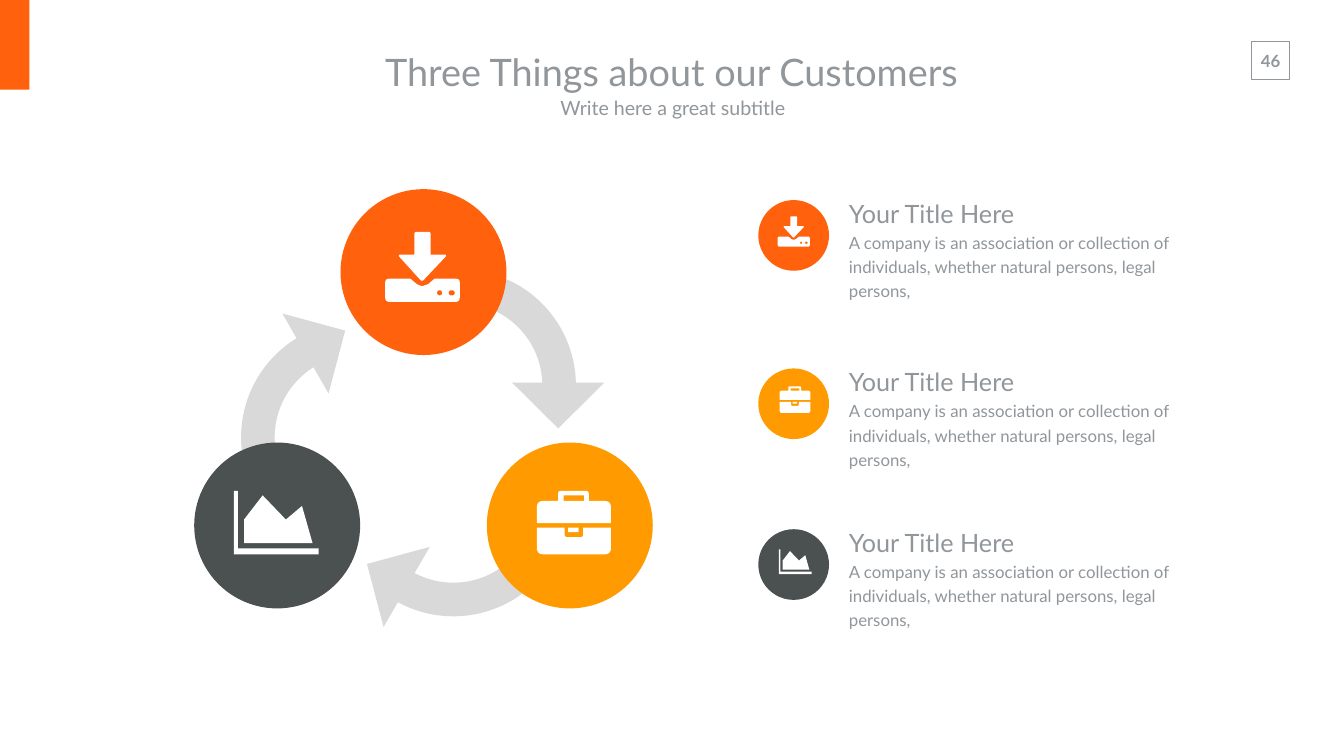
from dataclasses import dataclass
from math import cos, hypot, radians, sin

from pptx import Presentation
from pptx.dml.color import RGBColor
from pptx.enum.shapes import MSO_SHAPE
from pptx.enum.text import MSO_ANCHOR, MSO_AUTO_SIZE, PP_ALIGN
from pptx.util import Pt

ORANGE = RGBColor(0xFF, 0x61, 0x0C)
AMBER = RGBColor(0xFF, 0x9B, 0x00)
SLATE = RGBColor(0x4B, 0x50, 0x50)
GREY = RGBColor(0x91, 0x96, 0x9B)
LIGHT_GREY = RGBColor(0xD9, 0xD9, 0xD9)
WHITE = RGBColor(0xFF, 0xFF, 0xFF)

FONT = "Lato"
CYCLE_CENTRE = (604.8, 630)
CYCLE_RADIUS = 241.3
STEP_DIAMETER = 237
BULLET_DIAMETER = 101
BULLET_LEFT = 1083
PRECISION = 100
LARGE_ICON = 0.72

DOWNLOAD = [
    [(58, 0, 4), (90, 0, 4), (90, 45), (124, 45, 8), (73, 99, 5), (24, 45, 8), (58, 45)],
    [(0, 93, 8), (50, 93), (63, 104), (73, 108), (85, 104), (98, 93),
     (148, 93, 8), (148, 139, 9), (0, 139, 9)],
    [(103, 116, 5), (113, 116, 5), (113, 126, 5), (103, 126, 5)],
    [(126, 116, 5), (138, 116, 5), (138, 126, 5), (126, 126, 5)],
]
BRIEFCASE = [
    [(0, 64), (0, 20, 13), (42, 20), (42, 0, 6), (103, 0, 6), (103, 20),
     (147, 20, 13), (147, 64)],
    [(53, 9), (94, 9), (94, 20), (53, 20)],
    [(0, 73), (55, 73), (55, 92, 6), (92, 92, 6), (92, 73), (147, 73),
     (147, 126, 13), (0, 126, 13)],
    [(62, 73), (83, 73), (83, 82), (62, 82)],
]
AREA_CHART = [
    [(0, 0), (8, 0), (8, 114), (168, 114), (168, 126), (0, 126)],
    [(20, 104), (20, 57), (57, 9), (103, 57), (135, 30), (156, 104)],
]


@dataclass
class Step:
    """One stage of the cycle and its entry in the list."""
    colour: RGBColor
    icon: list
    icon_centre: tuple
    bullet_top: float
    bullet_icon_centre: tuple
    bullet_icon_scale: float


STEPS = [
    Step(ORANGE, DOWNLOAD, (603.4, 381.2), 285.8, (1133.6, 330.8), 0.31),
    Step(AMBER, BRIEFCASE, (819.7, 746.6), 526.3, (1135.4, 571), 0.3),
    Step(SLATE, AREA_CHART, (394.6, 746.6), 756, (1135.8, 802.4), 0.28),
]


def turn(point, angle):
    """Rotate a point clockwise about the middle of the cycle."""
    x, y = point[0] - CYCLE_CENTRE[0], point[1] - CYCLE_CENTRE[1]
    c, s = cos(radians(angle)), sin(radians(angle))
    return CYCLE_CENTRE[0] + x * c - y * s, CYCLE_CENTRE[1] + x * s + y * c


def arc(centre, radius, start, end, steps=40):
    """Return points along a circular arc."""
    angles = [radians(start + (end - start) * i / steps) for i in range(steps + 1)]
    return [(centre[0] + radius * cos(a), centre[1] + radius * sin(a)) for a in angles]


def rounded(corners, steps=6):
    """Return the outline with each corner that has a radius rounded off."""
    points = []
    for index, (x, y, *radius) in enumerate(corners):
        if not radius:
            points.append((x, y))
            continue
        ends = []
        for neighbour in (corners[index - 1], corners[(index + 1) % len(corners)]):
            dx, dy = neighbour[0] - x, neighbour[1] - y
            ratio = radius[0] / hypot(dx, dy)
            ends.append((x + dx * ratio, y + dy * ratio))
        (ax, ay), (bx, by) = ends
        for i in range(steps + 1):
            t = i / steps
            a, m, b = (1 - t) ** 2, 2 * t * (1 - t), t * t
            points.append((a * ax + m * x + b * bx, a * ay + m * y + b * by))
    return points


def paint(shape, colour):
    """Give a shape a plain fill without line or shadow."""
    shape.shadow.inherit = False
    shape.fill.solid()
    shape.fill.fore_color.rgb = colour
    shape.line.fill.background()


def add_outline(slide, contours, colour, scale=1):
    """Draw closed contours as one filled freeform."""
    contours = [[(x * PRECISION, y * PRECISION) for x, y in c] for c in contours]
    builder = slide.shapes.build_freeform(*contours[0][0], scale=Pt(scale) / PRECISION)
    builder.add_line_segments(contours[0][1:], close=True)
    for contour in contours[1:]:
        builder.move_to(*contour[0])
        builder.add_line_segments(contour[1:], close=True)
    outline = builder.convert_to_shape()
    paint(outline, colour)
    return outline


def add_icon(slide, icon, centre, scale):
    """Draw a white icon around a centre point."""
    symbol = add_outline(slide, [rounded(c) for c in icon], WHITE, scale)
    symbol.left = Pt(centre[0]) - symbol.width // 2
    symbol.top = Pt(centre[1]) - symbol.height // 2


def add_block(slide, kind, left, top, width, height, colour):
    """Draw a plain preset shape."""
    block = slide.shapes.add_shape(kind, Pt(left), Pt(top), Pt(width), Pt(height))
    paint(block, colour)
    return block


def add_cycle_arrow(slide, angle):
    """Draw one curved arrow of the cycle, turned by an angle."""
    centre = (656.6, 550.8)
    neck, tip, middle = 546.5, 612, 797.3
    points = arc(centre, 166, -90, -1.5)
    points += [(middle + 66, neck), (middle, tip), (middle - 66, neck)]
    points += arc(centre, 118, -2, -90)
    add_outline(slide, [[turn(p, angle) for p in points]], LIGHT_GREY)


def write(box, place, lines, margins, align=PP_ALIGN.LEFT, anchor=MSO_ANCHOR.TOP,
          spacing=1.0, bold=False, wrap=True):
    """Place a text box and fill it with (text, size) lines."""
    box.left, box.top, box.width, box.height = (Pt(length) for length in place)
    frame = box.text_frame
    frame.text = "\n".join(text for text, _ in lines)
    frame.word_wrap = wrap
    frame.auto_size = MSO_AUTO_SIZE.SHAPE_TO_FIT_TEXT
    frame.vertical_anchor = anchor
    frame.margin_left = frame.margin_right = Pt(margins[0])
    frame.margin_top = frame.margin_bottom = Pt(margins[1])
    for paragraph, (_, size) in zip(frame.paragraphs, lines):
        paragraph.alignment = align
        paragraph.line_spacing = spacing
        paragraph.space_before = Pt(0)
        font = paragraph.runs[0].font
        font.name, font.size, font.bold = FONT, Pt(size), bold
        font.color.rgb = GREY


def add_text(slide, place, lines, margins, **style):
    """Add a new text box."""
    box = slide.shapes.add_textbox(*(Pt(length) for length in place))
    write(box, place, lines, margins, **style)


def add_header(slide):
    """Add the corner bar, page number, title and subtitle."""
    add_block(slide, MSO_SHAPE.RECTANGLE, 0, 0, 42, 128, ORANGE)
    frame = add_block(slide, MSO_SHAPE.RECTANGLE, 1787.8, 59, 54, 54, WHITE)
    frame.fill.background()
    frame.line.color.rgb = GREY
    frame.line.width = Pt(1)
    add_text(slide, (1785.6, 64.8, 58.3, 43.9), [("46", 24)], (14.4, 7.2),
             align=PP_ALIGN.CENTER, bold=True, wrap=False)
    heading = {"margins": (19.4, 9.4), "align": PP_ALIGN.CENTER,
               "anchor": MSO_ANCHOR.MIDDLE}
    write(slide.shapes.title, (414.7, 59.8, 1088.6, 85),
          [("Three Things about our Customers", 54)], **heading)
    add_text(slide, (589, 126.7, 743.8, 53.3),
             [("Write here a great subtitle", 28)], **heading)


def add_step(slide, step, angle):
    """Add the large circle of a step to the cycle."""
    x, y = turn((CYCLE_CENTRE[0], CYCLE_CENTRE[1] - CYCLE_RADIUS), angle)
    half = STEP_DIAMETER / 2
    add_block(slide, MSO_SHAPE.OVAL, x - half, y - half,
              STEP_DIAMETER, STEP_DIAMETER, step.colour)
    add_icon(slide, step.icon, step.icon_centre, LARGE_ICON)


def add_entry(slide, step):
    """Add the small circle and the description of a step."""
    add_block(slide, MSO_SHAPE.OVAL, BULLET_LEFT, step.bullet_top,
              BULLET_DIAMETER, BULLET_DIAMETER, step.colour)
    add_icon(slide, step.icon, step.bullet_icon_centre, step.bullet_icon_scale)
    description = ("A company is an association or collection of individuals, "
                   "whether natural persons, legal persons,")
    add_text(slide, (1198, step.bullet_top - 18.2, 556, 135.4),
             [("Your Title Here", 36), (description, 24)], (14.4, 7.2), spacing=1.2)


def main():
    """Build the slide and save it."""
    presentation = Presentation()
    presentation.slide_width, presentation.slide_height = Pt(1919.52), Pt(1080)
    slide = presentation.slides.add_slide(presentation.slide_layouts[5])
    add_header(slide)
    angles = [index * 360 / len(STEPS) for index in range(len(STEPS))]
    for angle in angles:
        add_cycle_arrow(slide, angle)
    for step, angle in zip(STEPS, angles):
        add_step(slide, step, angle)
        add_entry(slide, step)
    presentation.save("out.pptx")


if __name__ == "__main__":
    main()
